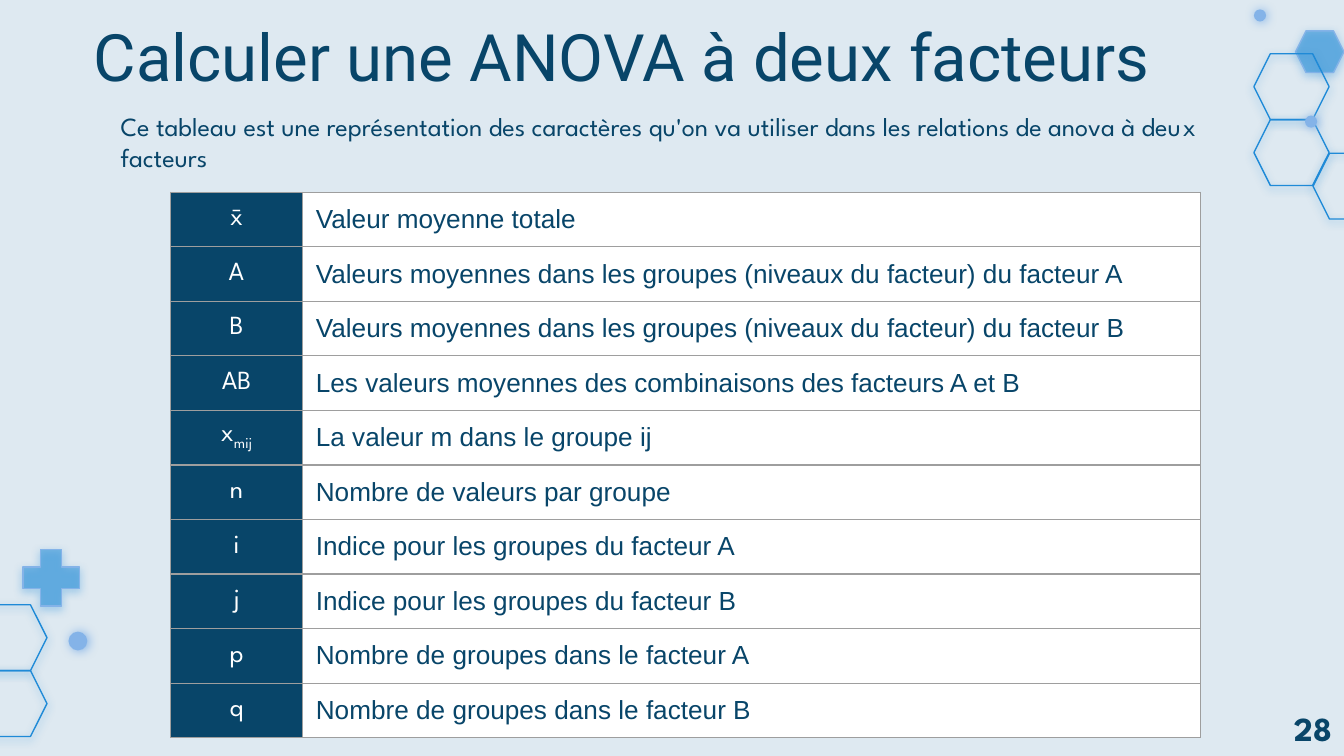
from dataclasses import dataclass

from lxml import etree
from pptx import Presentation
from pptx.dml.color import RGBColor
from pptx.enum.shapes import MSO_SHAPE
from pptx.enum.text import MSO_ANCHOR, PP_ALIGN
from pptx.oxml.ns import qn
from pptx.util import Inches, Pt

HEXAGON, OVAL, PLUS = MSO_SHAPE.HEXAGON, MSO_SHAPE.OVAL, MSO_SHAPE.CROSS
MIDDLE = MSO_ANCHOR.MIDDLE
LEFT, CENTER = PP_ALIGN.LEFT, PP_ALIGN.CENTER


@dataclass(frozen=True)
class Theme:
    background: str = "DEE9F1"
    ink: str = "084569"
    white: str = "FFFFFF"
    accent: str = "1F8AD7"
    soft: str = "84B3E8"
    border: str = "9E9E9E"
    title_font: str = "Roboto"
    body_font: str = "League Spartan"
    table_font: str = "Arial"
    title_size: float = 35
    body_size: float = 14
    number_size: float = 18
    line_width: float = 0.75
    tint: int = 53


HEX_SIZE = (0.56, 0.49)
HEXAGONS = [(9.33, 0.89), (9.77, 1.14), (9.33, 0.4), (-0.21, 4.99), (-0.21, 4.5)]
DOTS = [(9.71, 0.86, 0.09), (9.33, 0.07, 0.09), (0.51, 4.7, 0.14)]
TABLE_HEIGHT = 2.03
COLUMNS = (0.98, 6.68)

MEANS = [
    ("x̄", "", "Valeur moyenne totale"),
    ("A", "", "Valeurs moyennes dans les groupes (niveaux du facteur) du facteur A"),
    ("B", "", "Valeurs moyennes dans les groupes (niveaux du facteur) du facteur B"),
    ("AB", "", "Les valeurs moyennes des combinaisons des facteurs A et B"),
    ("x", "mij", "La valeur m dans le groupe ij"),
]
COUNTS = [
    ("n", "", "Nombre de valeurs par groupe"),
    ("i", "", "Indice pour les groupes du facteur A"),
    ("j", "", "Indice pour les groupes du facteur B"),
    ("p", "", "Nombre de groupes dans le facteur A"),
    ("q", "", "Nombre de groupes dans le facteur B"),
]


def add_color(parent, color, alpha=100):
    clr = etree.SubElement(parent, qn("a:srgbClr"), val=color)
    etree.SubElement(clr, qn("a:alpha"), val=str(alpha * 1000))


class Deck:
    def __init__(self, prs, theme):
        self.theme = theme
        self.s = prs.slides.add_slide(prs.slide_layouts[6])
        fill = self.s.background.fill
        fill.solid()
        fill.fore_color.rgb = RGBColor.from_string(theme.background)

    def run(self, p, text, font, size, color, bold=False):
        r = p.add_run()
        r.text = text
        values = {"name": font, "size": Pt(size), "bold": bold}
        for key, value in values.items():
            setattr(r.font, key, value)
        r.font.color.rgb = RGBColor.from_string(color)
        return r

    def text(self, box, text, font, size, bold=False):
        tf = self.s.shapes.add_textbox(*map(Inches, box)).text_frame
        tf.word_wrap = True
        self.run(tf.paragraphs[0], text, font, size, self.theme.ink, bold)

    def shape(self, kind, box, fill=None, line=None, alpha=100, glow=None):
        sp = self.s.shapes.add_shape(kind, *map(Inches, box))
        if fill:
            sp.fill.solid()
            sp.fill.fore_color.rgb = RGBColor.from_string(fill)
            clr = sp.fill._xPr.find(qn("a:solidFill"))[0]
            etree.SubElement(clr, qn("a:alpha"), val=str(alpha * 1000))
        else:
            sp.fill.background()
        if line:
            sp.line.color.rgb = RGBColor.from_string(line)
            sp.line.width = Pt(self.theme.line_width)
        else:
            sp.line.fill.background()
        sp.shadow.inherit = False
        color, opacity, blur, dist, angle = glow
        effects = sp._element.spPr.find(qn("a:effectLst"))
        shadow = etree.SubElement(
            effects, qn("a:outerShdw"), blurRad=str(Pt(blur)), dist=str(Pt(dist)),
            dir=str(angle * 60000), algn="bl", rotWithShape="0")
        add_color(shadow, color, opacity)
        return sp

    def outlined(self, kind, box, fill=None, line=None):
        t = self.theme
        return self.shape(kind, box, fill, line or t.accent, t.tint,
                          (t.accent, 50, 4.5, 1.5, 90))

    def dot(self, x, y, size):
        soft = self.theme.soft
        self.shape(OVAL, (x, y, size, size), soft, glow=(soft, 100, 5.6, 0.8, 11))

    def cell(self, cell, fill, align):
        cell.fill.solid()
        cell.fill.fore_color.rgb = RGBColor.from_string(fill)
        cell.vertical_anchor = MIDDLE
        tcPr = cell._tc.get_or_add_tcPr()
        for i, side in enumerate(("lnL", "lnR", "lnT", "lnB")):
            ln = etree.Element(qn("a:" + side), w=str(Pt(self.theme.line_width)))
            add_color(etree.SubElement(ln, qn("a:solidFill")), self.theme.border)
            tcPr.insert(i, ln)
        p = cell.text_frame.paragraphs[0]
        p.alignment = align
        return p

    def table(self, x, y, rows):
        t = self.theme
        frame = self.s.shapes.add_table(
            len(rows), len(COLUMNS), Inches(x), Inches(y),
            Inches(sum(COLUMNS)), Inches(TABLE_HEIGHT))
        table = frame.table
        table.first_row = table.horz_banding = False
        for column, width in zip(table.columns, COLUMNS):
            column.width = Inches(width)
        for row, (symbol, index, meaning) in zip(table.rows, rows):
            row.height = Inches(TABLE_HEIGHT / len(rows))
            p = self.cell(row.cells[0], t.ink, CENTER)
            self.run(p, symbol, t.body_font, t.body_size, t.white)
            if index:
                r = self.run(p, index, t.body_font, t.body_size, t.white)
                r.font._element.set("baseline", "-25000")
            p = self.cell(row.cells[1], t.white, LEFT)
            self.run(p, meaning, t.table_font, t.body_size, t.ink)


def main():
    prs = Presentation()
    prs.slide_width = Inches(10)
    prs.slide_height = prs.slide_width * 9 // 16
    t = Theme()
    deck = Deck(prs, t)

    deck.outlined(HEXAGON, (9.64, 0.23, 0.36, 0.31), t.accent, t.soft)
    for corner in HEXAGONS:
        deck.outlined(HEXAGON, corner + HEX_SIZE)
    plus = deck.outlined(PLUS, (0.17, 4.09, 0.42, 0.42), t.accent, t.soft)
    plus.adjustments[0] = 0.31
    for dot in DOTS:
        deck.dot(*dot)

    deck.table(1.27, 1.43, MEANS)
    deck.table(1.27, 1.43 + TABLE_HEIGHT, COUNTS)

    deck.text((0.6, 0.07, 8.81, 0.69), "Calculer une ANOVA à deux facteurs",
              t.title_font, t.title_size)
    deck.text((0.8, 0.77, 8.42, 0.57),
              "Ce tableau est une représentation des caractères qu'on va utiliser "
              "dans les relations de anova à deux facteurs",
              t.body_font, t.body_size)
    deck.text((9.53, 5.22, 0.63, 0.4), "28", t.body_font, t.number_size, True)
    prs.save("out.pptx")


if __name__ == "__main__":
    main()
